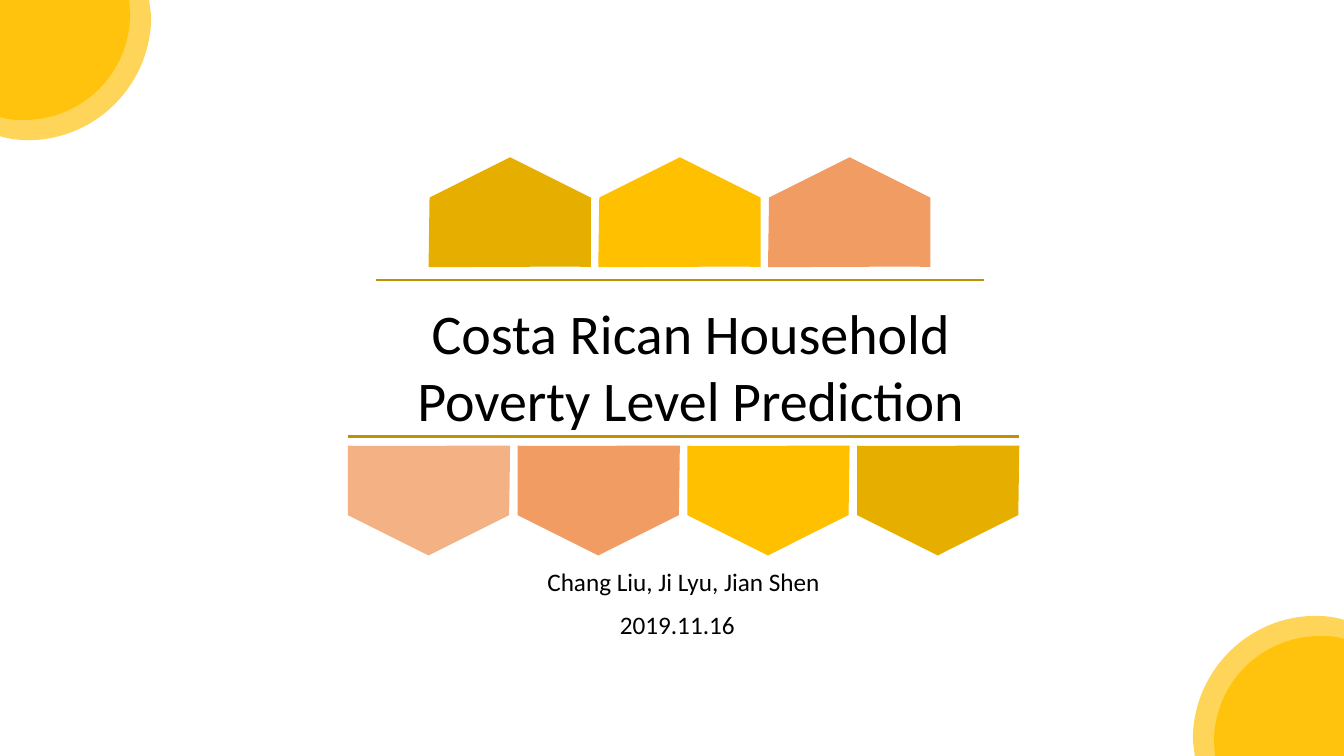
import lxml.etree
import pptx
import pptx.dml.color
import pptx.enum.shapes
import pptx.enum.text
import pptx.oxml.ns
import pptx.util

WIDTH, HEIGHT = 13.33, 7.5
AMBER, GOLD, ORANGE, PEACH, RULE = "FFC000", "E6AF00", "F19C63", "F4B183", "BF9000"

# Tile rows: left, top, half turn, colours from left to right
TILE_ROWS = [
    (3.45, 4.42, False, [PEACH, ORANGE, AMBER, GOLD]),
    (4.25, 1.56, True, [GOLD, AMBER, ORANGE]),
]
TILE_SIZE = (1.61, 1.09)
TILE_PITCH = (8.5 - 3.45) / 3

# Outlines start at (0, 0); a step of one point is a line, of three points a curve
TILE_STEPS = [
    [(0, 0.01), (1.07, 0), (1.61, 0)],
    [(1.6, 0.69)],
    [(0.8, 1.09)],
    [(0, 0.69)],
    [(0, 0.46), (0, 0), (0, 0)],
]
# Corner discs: size, opacity in percent, outline
DISCS = [
    ((1.29, 1.19), 84, [
        [(1.28, 0)],
        [(1.29, 0.14)],
        [(1.29, 0.72), (0.82, 1.19), (0.24, 1.19)],
        [(0.17, 1.19), (0.09, 1.19), (0.03, 1.17)],
        [(0, 1.16)],
    ]),
    ((1.5, 1.39), 65, [
        [(1.48, 0)],
        [(1.5, 0.16)],
        [(1.5, 0.84), (0.95, 1.39), (0.28, 1.39)],
        [(0.19, 1.39), (0.11, 1.38), (0.03, 1.36)],
        [(0, 1.35)],
    ]),
]

# Rules: left, right, height on the slide
RULES = [(3.45, 10.11, 4.33), (3.73, 9.76, 2.78)]

# Texts: wording, (left, top, width, height), size, alignment
TEXTS = [
    ("Costa Rican Household Poverty Level Prediction", (3.7, 2.91, 6.3, 1.45), 40, "CENTER"),
    ("Chang Liu, Ji Lyu, Jian Shen", (5.03, 5.57, 3.5, 0.4), 18, "CENTER"),
    ("2019.11.16", (6.05, 6, 1.53, 0.4), 18, "LEFT"),
]


def colour(value):
    return pptx.dml.color.RGBColor.from_string(value)


def bend_curves(shape, steps):
    """Turn the lines that stand for a curve's three points into one curve."""
    lines = iter(shape._element.findall(".//" + pptx.oxml.ns.qn("a:lnTo")))
    for step in steps:
        parts = [next(lines) for _ in step]
        if len(parts) == 3:
            curve = lxml.etree.Element(pptx.oxml.ns.qn("a:cubicBezTo"))
            parts[0].addprevious(curve)
            for part in parts:
                curve.append(part[0])
                part.getparent().remove(part)


def add_outline(shapes, left, top, steps, fill, half_turn, opacity=100):
    start, *corners = [
        (pptx.util.Inches(left + x), pptx.util.Inches(top + y))
        for x, y in [(0, 0)] + sum(steps, [])
    ]
    builder = shapes.build_freeform(*start)
    builder.add_line_segments(corners, close=True)
    shape = builder.convert_to_shape()
    bend_curves(shape, steps)
    shape.rotation = 180 if half_turn else 0
    shape.shadow.inherit = False
    shape.fill.solid()
    shape.fill.fore_color.rgb = colour(fill)
    shape.line.fill.background()
    if opacity < 100:
        value = shape._element.spPr.find(".//" + pptx.oxml.ns.qn("a:srgbClr"))
        alpha = lxml.etree.SubElement(value, pptx.oxml.ns.qn("a:alpha"))
        alpha.set("val", str(opacity * 1000))


def add_tiles(slide):
    for left, top, half_turn, fills in TILE_ROWS:
        row = slide.shapes.add_group_shape()
        for column, fill in enumerate(fills):
            tile_left = left + column * TILE_PITCH
            add_outline(row.shapes, tile_left, top, TILE_STEPS, fill, half_turn)


def add_rules(slide):
    for left, right, height in RULES:
        ends = [pptx.util.Inches(n) for n in (left, height, right, height)]
        rule = slide.shapes.add_connector(pptx.enum.shapes.MSO_CONNECTOR.STRAIGHT, *ends)
        rule.line.color.rgb = colour(RULE)
        rule.line.width = pptx.util.Pt(1.5)
        lxml.etree.SubElement(rule._element.spPr, pptx.oxml.ns.qn("a:effectLst"))


def add_discs(slide):
    """Draw the discs at the top left corner, then turned at the bottom right one."""
    for half_turn in (False, True):
        shapes = slide.shapes.add_group_shape().shapes if half_turn else slide.shapes
        for (width, height), opacity, steps in DISCS:
            left, top = (WIDTH - width, HEIGHT - height) if half_turn else (0, 0)
            add_outline(shapes, left, top, steps, AMBER, half_turn, opacity)


def add_texts(slide):
    for wording, place, size, alignment in TEXTS:
        box = slide.shapes.add_textbox(*[pptx.util.Inches(n) for n in place])
        box.text_frame.word_wrap = True
        box.text_frame.auto_size = pptx.enum.text.MSO_AUTO_SIZE.SHAPE_TO_FIT_TEXT
        para = box.text_frame.paragraphs[0]
        para.alignment = pptx.enum.text.PP_ALIGN[alignment]
        span = para.add_run()
        span.text = wording
        for name, value in {"name": "Calibri", "size": pptx.util.Pt(size)}.items():
            setattr(span.font, name, value)
        span.font.color.rgb = colour("000000")


def main():
    deck = pptx.Presentation()
    deck.slide_width = pptx.util.Inches(WIDTH)
    deck.slide_height = pptx.util.Inches(HEIGHT)
    page = deck.slides.add_slide(deck.slide_layouts[6])
    for add_part in (add_tiles, add_rules, add_texts, add_discs):
        add_part(page)
    deck.save("out.pptx")


if __name__ == "__main__":
    main()
